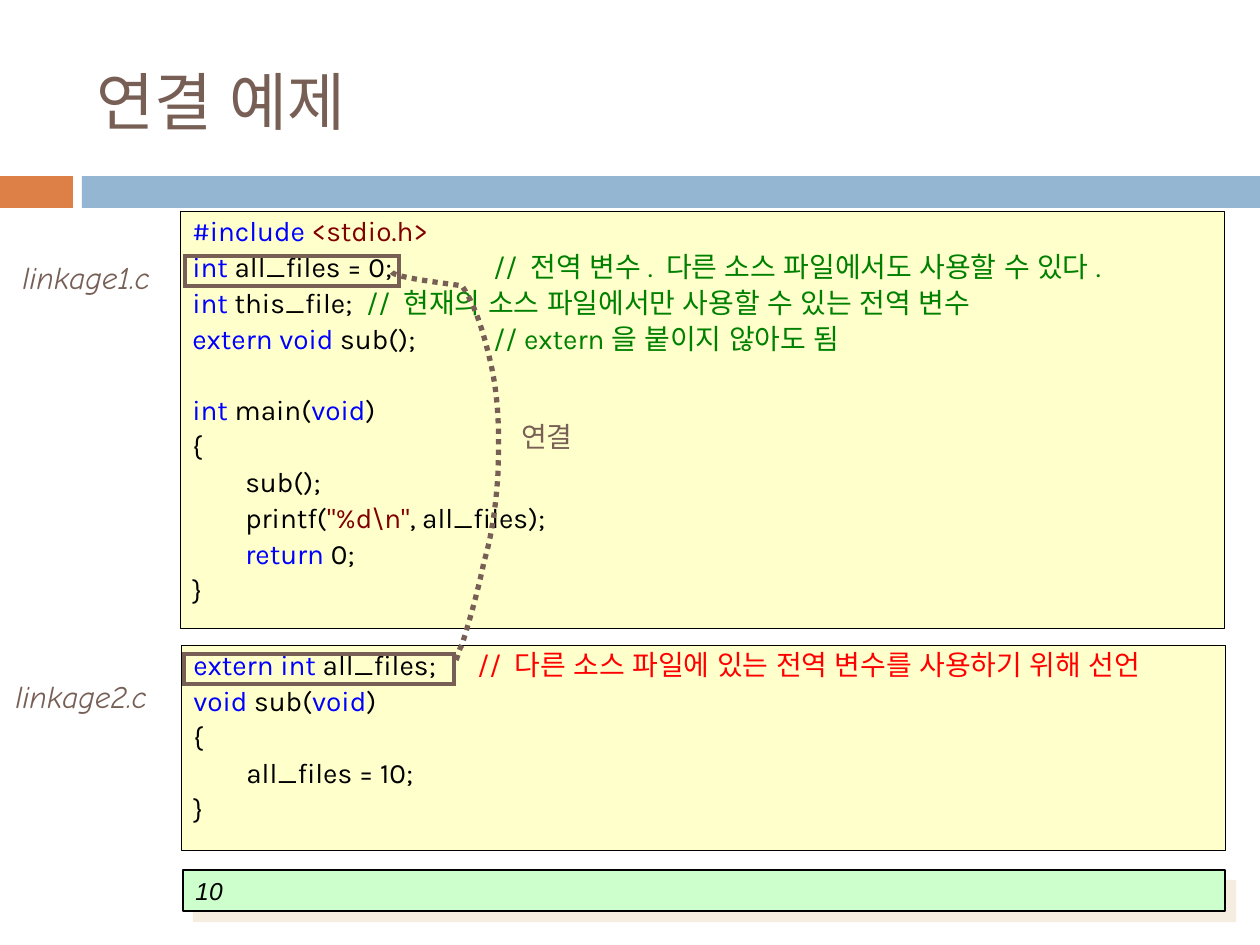
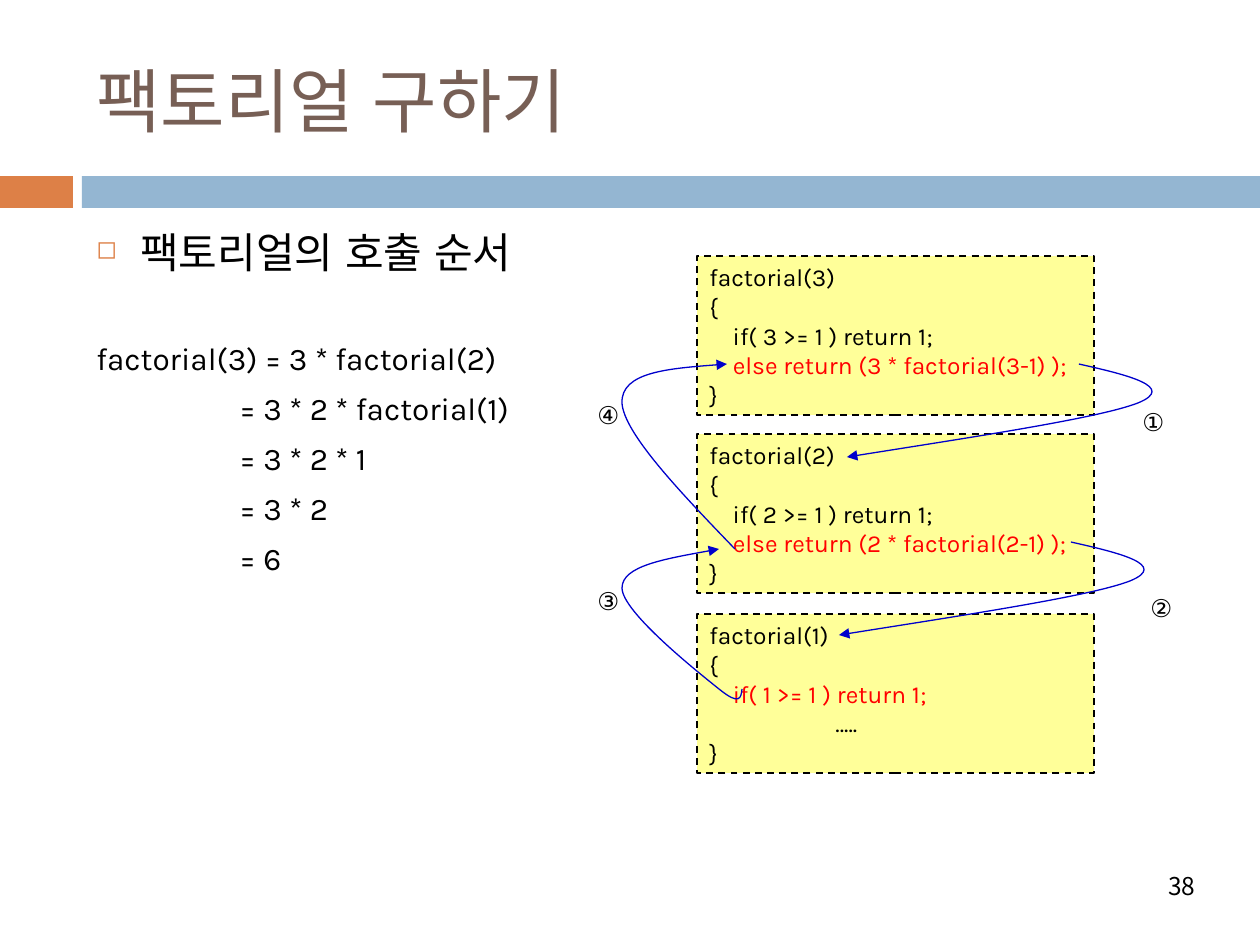
from lxml.etree import SubElement
from pptx import Presentation
from pptx.dml.color import RGBColor
from pptx.enum.dml import MSO_LINE as Dash
from pptx.enum.shapes import MSO_SHAPE as Preset
from pptx.enum.text import MSO_ANCHOR as Anchor, MSO_AUTO_SIZE as AutoSize, PP_ALIGN as Align
from pptx.oxml.ns import qn
from pptx.util import Pt

PX = 914400 / 126
TITLE_ONLY = 5
KOREAN = "Noto Sans CJK KR"
EAST_ASIAN = "Arial"
BROWN, BLACK, BLUE, MAROON = "775F55", "000000", "0000FF", "800000"
GREEN, RED, NAVY = "008000", "FF0000", "0000CC"
ORANGE, SKY, SHADOW = "DD8047", "94B6D2", "EBDDC3"
CREAM, MINT, YELLOW = "FFFFCC", "CCFFCC", "FFFF99"

BANDS = [((0, 176, 73, 32), ORANGE), ((82, 176, 1178, 32), SKY)]
BAND_ID = 20
TITLE_PLACE = (84, 32, 1124, 136)

CODE_FONT = {"name": "Karla", "size": Pt(16)}
CALL_FONT = {"name": "Karla", "size": Pt(14)}
BODY_FONT = {"name": "Karla", "size": Pt(18)}
HEADING_FONT = {"name": "Karla", "size": Pt(24)}
FILE_FONT = {"name": "Comic Neue", "size": Pt(18), "italic": True}
STEP_FONT = {"name": "Comic Neue", "size": Pt(14)}
OUTPUT_FONT = {"name": "Arial", "size": Pt(14), "italic": True}
LINK_FONT = {"name": "Arial", "size": Pt(16)}
NUMBER_FONT = {"name": KOREAN, "size": Pt(14)}

CODE_LINE = {"line_spacing": 0.9, "space_before": Pt(3.3)}
AFTER_GAP = {"line_spacing": 0.9, "space_before": Pt(23.5)}

LINKAGE1 = [
    [("#include ", BLUE), ("<stdio.h>", MAROON)],
    [("int ", BLUE), ("all_files = 0;\t", BLACK),
     ("// 전역 변수. 다른 소스 파일에서도 사용할 수 있다.", GREEN)],
    [("int ", BLUE), ("this_file;\t", BLACK),
     ("// 현재의 소스 파일에서만 사용할 수 있는 전역 변수", GREEN)],
    [("extern void", BLUE), (" sub();\t", BLACK), ("// extern을 붙이지 않아도 됨", GREEN)],
    [("int", BLUE), (" main(", BLACK), ("void", BLUE), (")", BLACK)],
    [("{", BLACK)],
    [("        sub();", BLACK)],
    [("        printf(", BLACK), ('"%d\\n"', MAROON), (", all_files);", BLACK)],
    [("        return", BLUE), (" 0;", BLACK)],
    [("}", BLACK)],
]
MAIN_LINE = 4
LINKAGE2 = [
    [("extern int ", BLUE), ("all_files;\t", BLACK),
     ("// 다른 소스 파일에 있는 전역 변수를 사용하기 위해 선언", RED)],
    [("void", BLUE), (" sub(", BLACK), ("void", BLUE), (")", BLACK)],
    [("{", BLACK)],
    [("        all_files = 10;", BLACK)],
    [("}", BLACK)],
]
LINKAGE_LABELS = [
    ("linkage1.c", (10, 252, 165, 50), FILE_FONT),
    ("linkage2.c", (3, 671, 170, 50), FILE_FONT),
    ("연결", (509, 413, 82, 47), LINK_FONT),
]
HIGHLIGHTS = [(185, 256, 214, 30), (184, 654, 270, 30)]
LINK_CURVE = [(392, 272), (393, 278), (460, 285), (462, 286),
              (476, 306), (484, 335), (490, 360), (497, 390), (500, 420), (498, 474),
              (495, 520), (489, 545), (484, 562), (476, 600), (468, 625), (462, 645),
              (457, 652), (458, 663), (452, 663)]

EXPANSION = ["= 3 * 2 * factorial(1)", "= 3 * 2 * 1", "= 3 * 2", "= 6"]
CALL_BOXES = [(3, 256), (2, 434), (1, 614)]
STEPS = [("①", 1130, 401), ("②", 1138, 587), ("③", 585, 580), ("④", 585, 394)]
CALL_CURVE = [(1079, 364), (1128, 375), (1177, 387), (1138, 403),
              (1099, 418), (973, 437), (847, 457)]
CALL_ARROWS = [
    CALL_CURVE,
    [(x - 8, y + 178) for x, y in CALL_CURVE],
    [(735, 549), (679, 491), (624, 433), (622, 403), (621, 372), (674, 368), (727, 364)],
    [(742, 689), (741, 698), (740, 706), (719, 689), (699, 673), (622, 612),
     (622, 588), (622, 566), (670, 558), (719, 549)],
]


def px(value):
    return round(value * PX)


def color(hex_text):
    return RGBColor.from_string(hex_text)


def apply(target, values):
    for name, value in values.items():
        setattr(target, name, value)


def style_line(shape, line_color, width, dash=None):
    shape.line.color.rgb = color(line_color)
    shape.line.width = Pt(width)
    if dash:
        shape.line.dash_style = dash


def add_bullet(para, char, bullet_color, percent):
    properties = para._p.get_or_add_pPr()
    fill = SubElement(properties, qn("a:buClr"))
    SubElement(fill, qn("a:srgbClr"), val=bullet_color)
    SubElement(properties, qn("a:buSzPct"), val=str(percent * 1000))
    SubElement(properties, qn("a:buChar"), char=char)


def set_indent(para, left, first=0):
    properties = para._p.get_or_add_pPr()
    properties.set("marL", str(px(left)))
    properties.set("indent", str(px(first)))


def add_tabs(para, stops):
    tabs = SubElement(para._p.get_or_add_pPr(), qn("a:tabLst"))
    for stop in stops:
        SubElement(tabs, qn("a:tab"), pos=str(px(stop)), algn="l")


def add_span(para, text, span_color, font):
    span = para.add_run()
    span.text = text
    apply(span.font, font)
    span.font.color.rgb = color(span_color)
    SubElement(span._r.get_or_add_rPr(), qn("a:ea"), typeface=EAST_ASIAN)


def write(shape, lines, font, line_format=None, tabs=(), anchor=Anchor.TOP, wrap=True):
    frame = shape.text_frame
    apply(frame, {"word_wrap": wrap, "auto_size": AutoSize.NONE, "vertical_anchor": anchor})
    for index, spans in enumerate(lines):
        para = frame.add_paragraph() if index else frame.paragraphs[0]
        para.alignment = Align.LEFT
        if tabs:
            add_tabs(para, tabs)
        apply(para, line_format or {})
        if not index:
            para.space_before = Pt(0)
        for text, span_color in spans:
            add_span(para, text, span_color, font)
    return frame


def add_rect(page, place, fill=None):
    box = page.shapes.add_shape(Preset.RECTANGLE, *map(px, place))
    box.shadow.inherit = False
    if fill:
        box.fill.solid()
        box.fill.fore_color.rgb = color(fill)
    else:
        box.fill.background()
    box.line.fill.background()
    return box


def add_label(page, text, place, font, label_color=BLACK, **options):
    label = page.shapes.add_textbox(*map(px, place))
    return write(label, [[(text, label_color)]], font, **options)


def add_curve(page, points, line_color, width, dash=None):
    start, *rest = [(px(x), px(y)) for x, y in points]
    builder = page.shapes.build_freeform(*start)
    builder.add_line_segments(rest, close=False)
    curve = builder.convert_to_shape()
    corners = list(curve._element.iter(qn("a:lnTo")))
    outline = corners[0].getparent()
    for first in range(0, len(corners), 3):
        bend = SubElement(outline, qn("a:cubicBezTo"))
        for corner in corners[first:first + 3]:
            bend.append(corner[0])
            outline.remove(corner)
    curve.shadow.inherit = False
    curve.fill.background()
    style_line(curve, line_color, width, dash)
    return curve


def add_shadow(shape):
    effects = shape._element.spPr.find(qn("a:effectLst"))
    shadow = SubElement(effects, qn("a:outerShdw"), blurRad="0", dist=str(Pt(8.5)),
                        dir="2700000", algn="ctr", rotWithShape="0")
    tint = SubElement(shadow, qn("a:srgbClr"), val=SHADOW)
    SubElement(tint, qn("a:alpha"), val="50000")


def move_bands_to_layout(page):
    tree = page.slide_layout.shapes._spTree
    for index, (place, fill) in enumerate(BANDS):
        band = add_rect(page, place, fill)._element
        band.nvSpPr.cNvPr.set("id", str(BAND_ID + index))
        tree.insert(2 + index, band)


def add_page(deck, title, size):
    page = deck.slides.add_slide(deck.slide_layouts[TITLE_ONLY])
    left, top, width, height = map(px, TITLE_PLACE)
    heading = page.shapes.title
    apply(heading, {"left": left, "top": top, "width": width, "height": height})
    write(heading, [[(title, BROWN)]], {"name": KOREAN, "size": Pt(size)}, anchor=Anchor.MIDDLE)
    return page


def add_code(page, place, lines, tabs):
    box = add_rect(page, place, CREAM)
    style_line(box, BLACK, 0.25)
    return write(box, lines, CODE_FONT, CODE_LINE, tabs)


def build_linkage(deck):
    page = add_page(deck, "연결 예제", 36)
    move_bands_to_layout(page)
    code = add_code(page, (180, 211, 1044, 417), LINKAGE1, (174, 301))
    apply(code.paragraphs[MAIN_LINE], AFTER_GAP)
    result = add_rect(page, (183, 870, 1042, 41), MINT)
    style_line(result, BLACK, 0.75)
    add_shadow(result)
    write(result, [[("10", BLACK)]], OUTPUT_FONT, anchor=Anchor.MIDDLE)
    add_code(page, (181, 645, 1044, 205), LINKAGE2, (284,))
    for text, place, font in LINKAGE_LABELS:
        add_label(page, text, place, font, BROWN, wrap=False)
    add_curve(page, LINK_CURVE, BROWN, 3, Dash.ROUND_DOT)
    for place in HIGHLIGHTS:
        frame = add_rect(page, place)
        style_line(frame, BROWN, 2.25)
        SubElement(frame.line._get_or_add_ln(), qn("a:miter"), lim="800000")


def call_lines(n):
    test = f"if( {n} >= 1 ) return 1;"
    if n == 1:
        body = [[("    ", BLACK), (test, RED)], [("\t.....", BLACK)]]
    else:
        body = [[("    " + test, BLACK)],
                [("    ", BLACK), (f"else return ({n} * factorial({n}-1) );", RED)]]
    return [[(f"factorial({n})", BLACK)], [("{", BLACK)], *body, [("}", BLACK)]]


def build_factorial(deck):
    page = add_page(deck, "팩토리얼 구하기", 40)
    frame = add_label(page, "팩토리얼의 호출 순서", (84, 220, 1124, 620), HEADING_FONT)
    add_bullet(frame.paragraphs[0], "◻", ORANGE, 60)
    set_indent(frame.paragraphs[0], 44, -44)
    for index, text in enumerate(["factorial(3) = 3 * factorial(2)", *EXPANSION]):
        para = frame.add_paragraph()
        set_indent(para, 143 if index else 0)
        para.space_before = Pt(7 if index else 35.7)
        add_span(para, text, BLACK, BODY_FONT)
    for n, top in CALL_BOXES:
        box = add_rect(page, (697, top, 397, 159), YELLOW)
        style_line(box, BLACK, 1, Dash.DASH)
        write(box, call_lines(n), CALL_FONT, tabs=(126,))
    for text, left, top in STEPS:
        add_label(page, text, (left, top, 50, 42), STEP_FONT, wrap=False)
    for controls in CALL_ARROWS:
        arrow = add_curve(page, controls, NAVY, 0.75)
        SubElement(arrow.line._get_or_add_ln(), qn("a:tailEnd"), type="triangle")
    number = add_label(page, "38", (858, 861, 350, 50), NUMBER_FONT, anchor=Anchor.MIDDLE)
    number.paragraphs[0].alignment = Align.RIGHT


def main():
    deck = Presentation()
    apply(deck, {"slide_width": px(1260), "slide_height": px(945)})
    build_linkage(deck)
    build_factorial(deck)
    deck.save("out.pptx")


if __name__ == "__main__":
    main()
